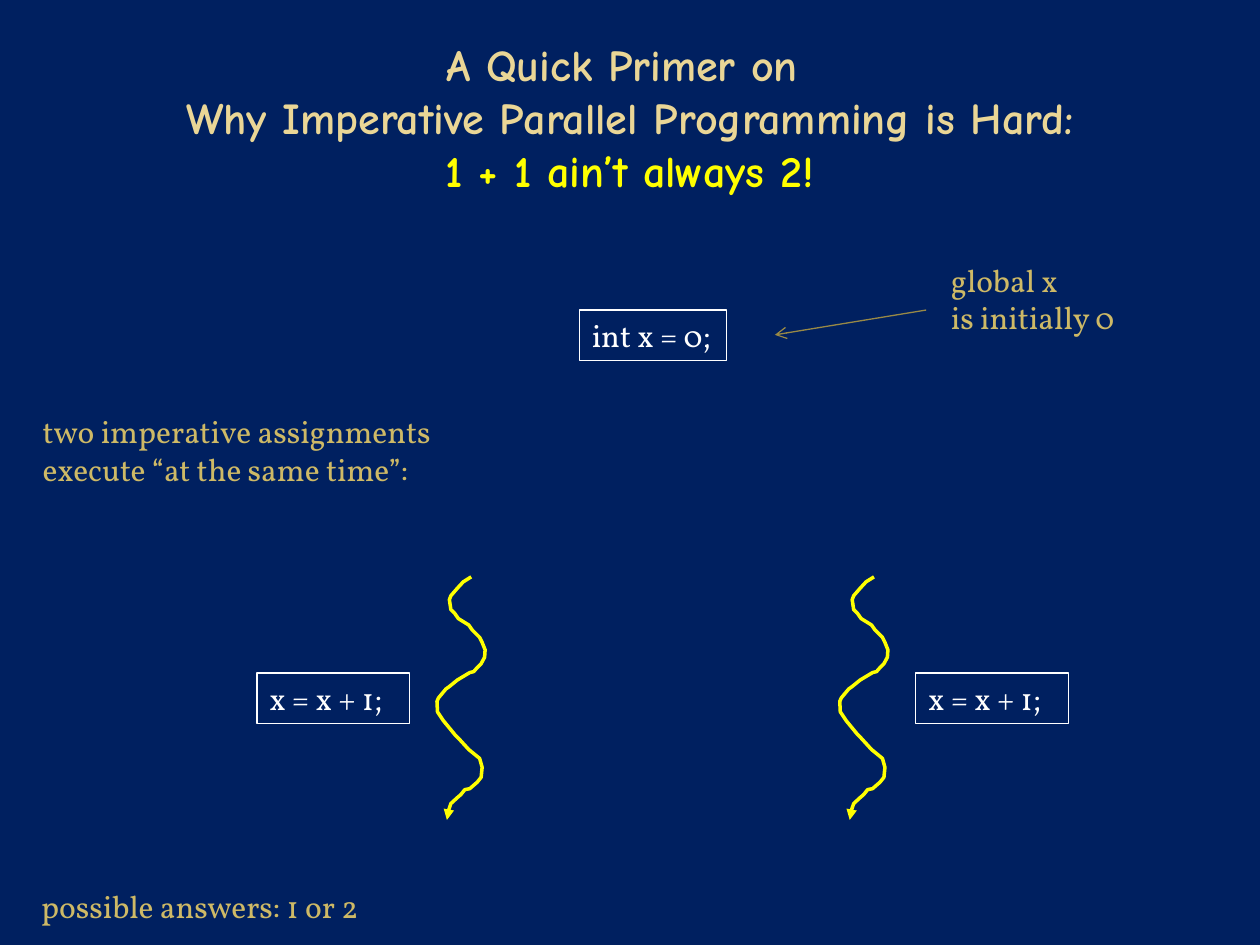
from pptx import Presentation
from pptx.dml.color import RGBColor
from pptx.enum.shapes import MSO_CONNECTOR, MSO_SHAPE
from pptx.enum.text import MSO_ANCHOR, MSO_AUTO_SIZE, PP_ALIGN
from pptx.oxml.ns import qn
from pptx.util import Cm, Pt
from lxml.etree import SubElement

NAVY, WHITE, YELLOW = "002060", "FFFFFF", "FFFF00"
SAND, GOLD, BROWN = "EAD696", "CEB966", "998946"
WAVE = [
    (69, 0), (53, 10), (41, 23), (28, 38), (25, 46), (28, 66), (36, 74),
    (43, 84), (51, 89), (64, 97), (71, 107), (86, 122), (91, 132), (97, 147),
    (96, 162), (89, 175), (81, 183), (74, 191), (66, 193), (41, 208),
    (25, 221), (18, 226), (3, 244), (0, 251), (1, 272), (13, 290), (36, 318),
    (43, 325), (64, 348), (86, 366), (91, 384), (89, 404), (81, 414),
    (66, 427), (56, 429), (48, 439), (41, 445), (28, 457), (23, 472),
    (20, 480), (20, 490),
]


def paint(color, code):
    """Set a colour format from a hex string."""
    color.rgb = RGBColor.from_string(code)


def write(para, text, font="Vollkorn", size=18, code=GOLD, bold=False):
    """Add a formatted run to a paragraph, with line breaks at newlines."""
    for i, part in enumerate(text.split("\n")):
        if i:
            para.add_line_break()
        if part:
            run = para.add_run()
            run.text = part
            run.font.name, run.font.size, run.font.bold = font, Pt(size), bold
            paint(run.font.color, code)


def fill_text(frame, lines, **style):
    """Write one left-aligned paragraph for each line."""
    frame.word_wrap = True
    frame.auto_size = MSO_AUTO_SIZE.NONE
    for i, line in enumerate(lines):
        para = frame.add_paragraph() if i else frame.paragraphs[0]
        para.alignment = PP_ALIGN.LEFT
        write(para, line, **style)


def add_title(slide):
    """Place and format the title."""
    title = slide.shapes.title
    title.left, title.top = Cm(1.27), Cm(0.76)
    title.width, title.height = Cm(22.86), Cm(3.18)
    frame = title.text_frame
    frame.auto_size = MSO_AUTO_SIZE.NONE
    frame.vertical_anchor = MSO_ANCHOR.MIDDLE
    para = frame.paragraphs[0]
    para.alignment = PP_ALIGN.CENTER
    style = dict(font="Comic Neue", size=25.2, bold=True)
    write(para, "A Quick Primer on \nWhy Imperative Parallel Programming is Hard:\n",
          code=SAND, **style)
    write(para, "1 + 1 ain’t always 2!", code=YELLOW, **style)


def add_note(slide, x, y, w, h, *lines):
    """Add a gold remark."""
    box = slide.shapes.add_textbox(Cm(x), Cm(y), Cm(w), Cm(h))
    fill_text(box.text_frame, lines)


def add_code(slide, x, y, w, text):
    """Add a framed line of code."""
    box = slide.shapes.add_shape(MSO_SHAPE.RECTANGLE, Cm(x), Cm(y), Cm(w), Cm(1.02))
    box.shadow.inherit = False
    box.fill.background()
    paint(box.line.color, WHITE)
    box.line.width = Pt(0.75)
    box.text_frame.vertical_anchor = MSO_ANCHOR.TOP
    fill_text(box.text_frame, [text], code=WHITE)


def set_line(shape, code, width, head):
    """Give a line its colour, width and arrowhead."""
    paint(shape.line.color, code)
    shape.line.width = Pt(width)
    SubElement(shape.line._get_or_add_ln(), qn("a:tailEnd"), type=head)


def add_thread(slide, x, y):
    """Add a wavy arrow for one thread."""
    pen = slide.shapes.build_freeform(*WAVE[0], scale=Cm(0.01))
    pen.add_line_segments(WAVE[1:], close=False)
    wave = pen.convert_to_shape(Cm(x), Cm(y))
    wave.shadow.inherit = False
    wave.fill.background()
    set_line(wave, YELLOW, 2, "triangle")


def add_arrow(slide, x1, y1, x2, y2):
    """Add a thin straight arrow."""
    line = slide.shapes.add_connector(
        MSO_CONNECTOR.STRAIGHT, Cm(x1), Cm(y1), Cm(x2), Cm(y2))
    set_line(line, BROWN, 0.75, "arrow")
    SubElement(line._element.spPr, qn("a:effectLst"))


def main():
    """Build the slide and save it."""
    deck = Presentation()
    deck.slide_width, deck.slide_height = Cm(25.4), Cm(19.05)
    slide = deck.slides.add_slide(deck.slide_layouts[5])
    back = slide.background.fill
    back.solid()
    paint(back.fore_color, NAVY)
    add_title(slide)
    add_code(slide, 11.68, 6.25, 2.97, "int x = 0;")
    for box, wave in ((5.18, 8.81), (18.46, 16.93)):
        add_code(slide, box, 13.57, 3.08, "x = x + 1;")
        add_thread(slide, wave, 11.63)
    add_arrow(slide, 18.67, 6.25, 15.62, 6.75)
    add_note(slide, 18.92, 5.13, 3.81, 1.8, "global x", "is initially 0")
    add_note(slide, 0.61, 8.18, 8.69, 1.8,
             "two imperative assignments", "execute “at the same time”:")
    add_note(slide, 0.58, 17.75, 7.21, 1.02, "possible answers: 1 or 2")
    deck.save("out.pptx")


if __name__ == "__main__":
    main()
